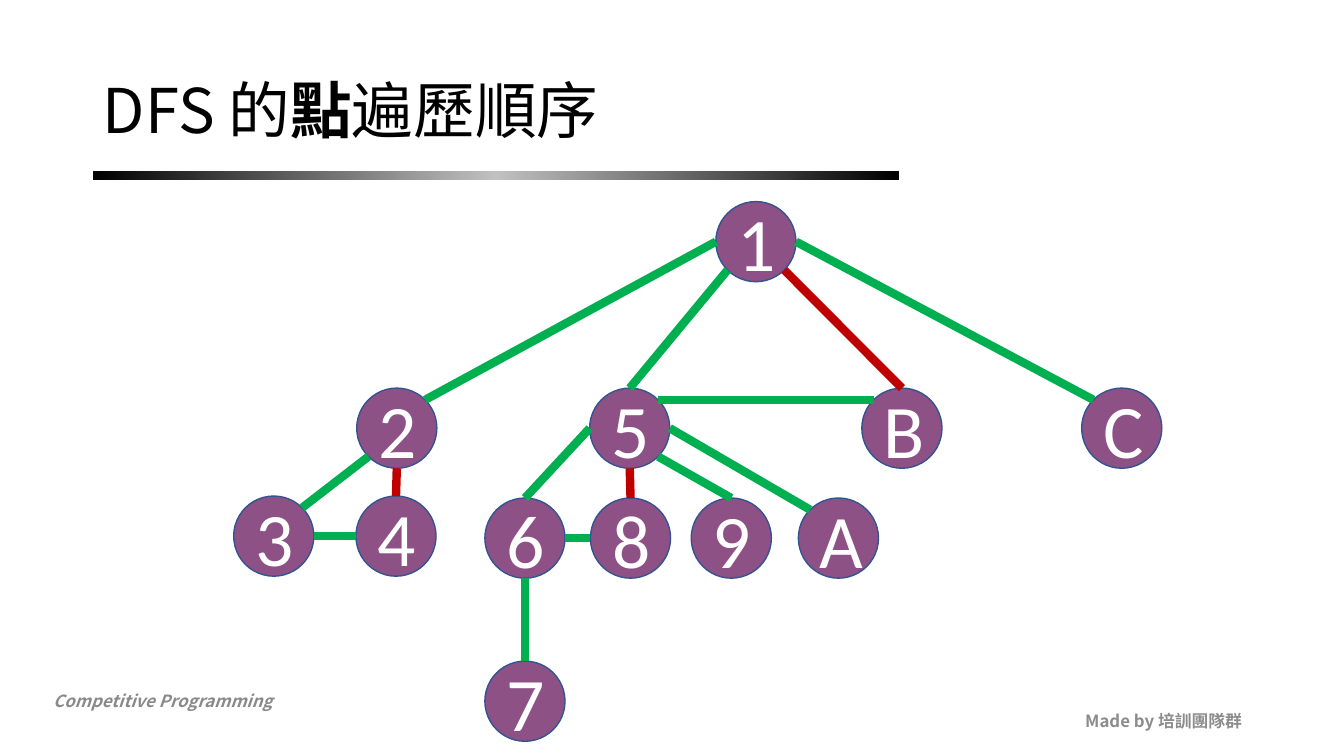
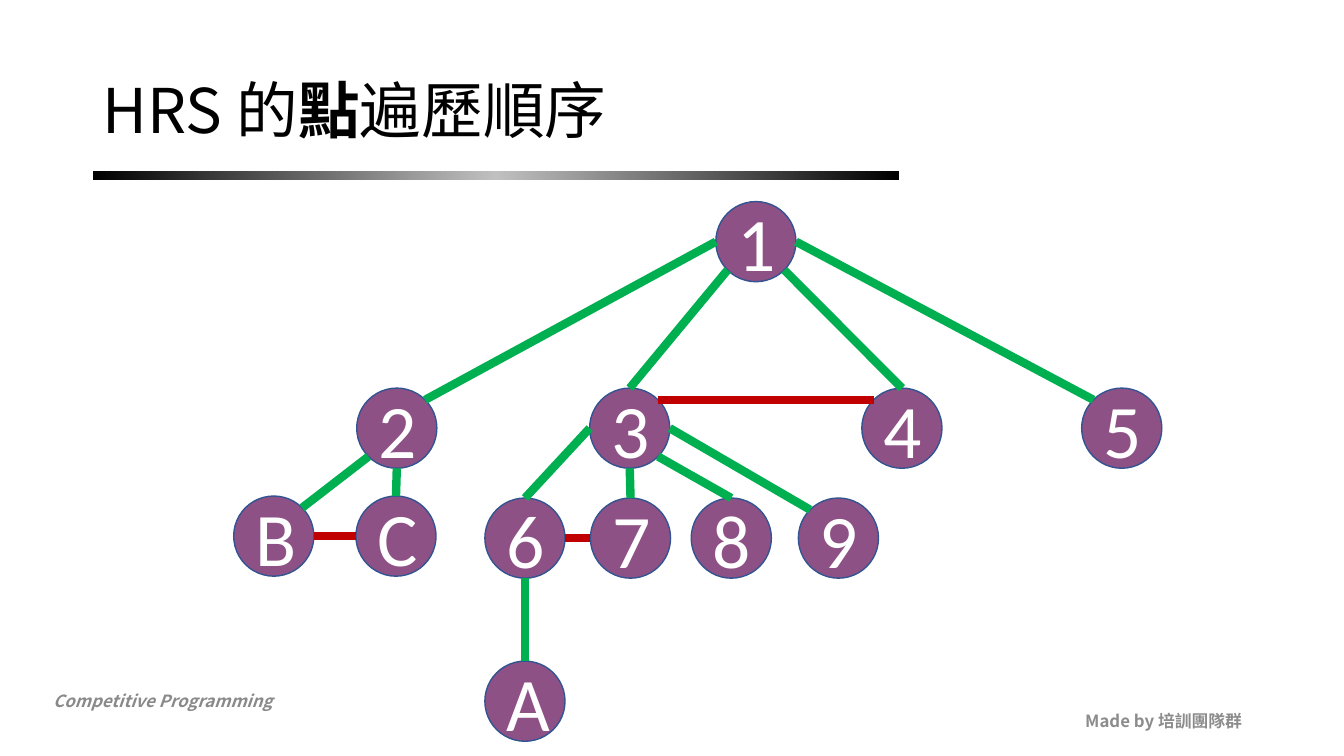
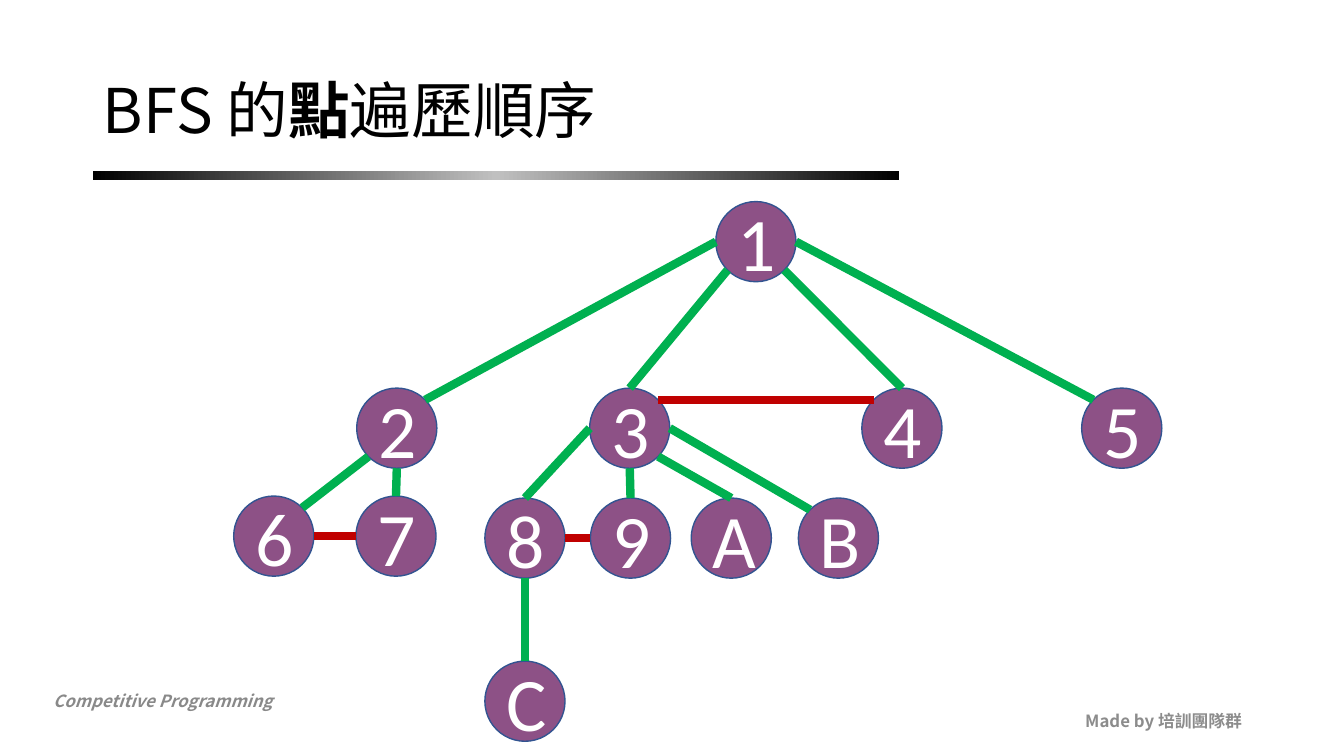
from collections import namedtuple
from math import cos, radians, sin

from lxml.etree import SubElement
from pptx import Presentation
from pptx.dml.color import RGBColor
from pptx.enum.shapes import MSO_CONNECTOR as Connector, MSO_SHAPE as Preset
from pptx.enum.text import MSO_ANCHOR as Anchor, MSO_AUTO_SIZE as AutoSize, PP_ALIGN as Align
from pptx.oxml.ns import qn
from pptx.util import Cm, Pt

BLACK = RGBColor(0x00, 0x00, 0x00)
SILVER = RGBColor(0xC0, 0xC0, 0xC0)
WHITE = RGBColor(0xFF, 0xFF, 0xFF)
COURSE_GREY = RGBColor(0x89, 0x89, 0x89)
CREDIT_GREY = RGBColor(0x8C, 0x8C, 0x8C)
PURPLE = RGBColor(0x8D, 0x51, 0x86)
OUTLINE_BLUE = RGBColor(0x32, 0x54, 0x91)
GREEN = RGBColor(0x00, 0xB0, 0x50)
RED = RGBColor(0xC0, 0x00, 0x00)

TEXT_FONT = "Noto Sans CJK SC"
NODE_FONT = "Calibri"

Box = namedtuple("Box", "left top width height")
TITLE_BOX = Box(2.34, 1.02, 29.21, 3.68)
RULE_BOX = Box(2.34, 4.32, 20.32, 0.23)
COURSE_BOX = Box(1.09, 17.27, 10.8, 0.76)
CREDIT_BOX = Box(23.93, 17.65, 7.62, 1.02)
TREE_BOX = Box(5.89, 5.08, 23.39, 13.6)

DIAMETER = 2.02
SITES = ["top", "top left", "left", "bottom left", "bottom", "bottom right", "right", "top right"]
NODES = {
    "root": (12.15, 0),
    "west": (3.1, 4.7), "middle": (8.97, 4.7), "east": (15.83, 4.7), "far east": (21.37, 4.7),
    "west 1": (0, 7.42), "west 2": (3.08, 7.42),
    "middle 1": (6.33, 7.47), "middle 2": (8.99, 7.47),
    "middle 3": (11.53, 7.47), "middle 4": (14.23, 7.47),
    "bottom": (6.33, 11.58),
}
EDGES = [
    ("root", "left", "west", "top right"),
    ("root", "bottom left", "middle", "top"),
    ("root", "bottom right", "east", "top"),
    ("root", "right", "far east", "top left"),
    ("west", "bottom left", "west 1", "top right"),
    ("west", "bottom", "west 2", "top"),
    ("middle", "left", "middle 1", "top"),
    ("middle", "bottom", "middle 2", "top"),
    ("middle", "bottom right", "middle 3", "top"),
    ("middle", "right", "middle 4", "top left"),
    ("middle 1", "bottom", "bottom", "top"),
    ("middle", "top right", "east", "top left"),
    ("west 1", "right", "west 2", "left"),
    ("middle 1", "right", "middle 2", "left"),
]
SIBLING_EDGES = {("middle", "east"), ("west 1", "west 2"), ("middle 1", "middle 2")}
BACK_EDGES = {("root", "east"), ("west", "west 2"), ("middle", "middle 2")}
TRAVERSALS = [
    ("DFS", "125BC34689A7", BACK_EDGES),
    ("HRS", "12345BC6789A", SIBLING_EDGES),
    ("BFS", "123456789ABC", SIBLING_EDGES),
]


def in_cm(box):
    """Return the box's four lengths as Cm values."""
    return [Cm(length) for length in box]


def add_span(para, text, size, color, font=TEXT_FONT, bold=False, italic=False):
    """Add one formatted run to a paragraph."""
    span = para.add_run()
    span.text = text
    span.font.name = font
    span.font.size = Pt(size)
    span.font.bold = bold
    span.font.italic = italic
    span.font.color.rgb = color
    SubElement(span.font._element, qn("a:ea"), typeface=font)


def add_rule(page, box):
    """Draw the gradient bar below the title."""
    rule = page.shapes.add_shape(Preset.RECTANGLE, *in_cm(box))
    rule.shadow.inherit = False
    rule.line.fill.background()
    rule.fill.gradient()
    rule.fill.gradient_angle = 0
    stops = rule.element.spPr.find(".//" + qn("a:gsLst"))
    stops.clear()
    for percent, color in ((0, BLACK), (50, SILVER), (100, BLACK)):
        stop = SubElement(stops, qn("a:gs"), pos=str(percent * 1000))
        SubElement(stop, qn("a:srgbClr"), val=str(color))
    return rule


def add_footer(page, box, text, color, align, anchor, italic=False):
    """Place one bold footer text."""
    footer = page.shapes.add_textbox(*in_cm(box))
    frame = footer.text_frame
    frame.word_wrap = True
    frame.vertical_anchor = anchor
    para = frame.paragraphs[0]
    para.alignment = align
    add_span(para, text, 12, color, bold=True, italic=italic)
    return footer


def furnish_layout(layout, page):
    """Give the layout its title box, rule and footers."""
    for holder in list(layout.placeholders):
        if holder.placeholder_format.idx == 0:
            holder.left, holder.top, holder.width, holder.height = in_cm(TITLE_BOX)
        else:
            holder.element.getparent().remove(holder.element)
    course = add_footer(page, COURSE_BOX, "Competitive Programming", COURSE_GREY,
                        Align.LEFT, Anchor.TOP, italic=True)
    course.text_frame.auto_size = AutoSize.SHAPE_TO_FIT_TEXT
    credit = add_footer(page, CREDIT_BOX, "Made by 培訓團隊群", CREDIT_GREY,
                        Align.RIGHT, Anchor.MIDDLE)
    for part in (course, credit, add_rule(page, RULE_BOX)):
        layout.element.cSld.spTree.append(part.element)


def write_title(page, method):
    """Fill the title placeholder."""
    frame = page.shapes.title.text_frame
    frame.word_wrap = True
    frame.auto_size = AutoSize.NONE
    frame.vertical_anchor = Anchor.MIDDLE
    para = frame.paragraphs[0]
    para.alignment = Align.LEFT
    para.line_spacing = 0.9
    for text, bold in ((f"{method} 的", False), ("點", True), ("遍歷順序", False)):
        add_span(para, text, 44, BLACK, bold=bold)


def add_node(page, box, label):
    """Draw one labelled circle."""
    node = page.shapes.add_shape(Preset.OVAL, *in_cm(box))
    node.shadow.inherit = False
    node.fill.solid()
    node.fill.fore_color.rgb = PURPLE
    node.line.color.rgb = OUTLINE_BLUE
    node.line.width = Pt(1)
    node.text_frame.vertical_anchor = Anchor.MIDDLE
    para = node.text_frame.paragraphs[0]
    para.alignment = Align.CENTER
    add_span(para, label, 54, WHITE, font=NODE_FONT)
    return node


def site_point(node, site):
    """Return the point of a named site on a circle's rim."""
    angle = radians(90 + 45 * SITES.index(site))
    radius = node.width / 2
    return (round(node.left + radius * (1 + cos(angle))),
            round(node.top + radius * (1 - sin(angle))))


def add_edge(page, start, start_site, end, end_site, color):
    """Join two circles with a line glued to their sites."""
    edge = page.shapes.add_connector(Connector.STRAIGHT, *site_point(start, start_site),
                                     *site_point(end, end_site))
    edge.line.color.rgb = color
    edge.line.width = Pt(6)
    SubElement(edge.element.spPr, qn("a:effectLst"))
    glue = edge.element.nvCxnSpPr.cNvCxnSpPr
    for tag, node, site in (("a:stCxn", start, start_site), ("a:endCxn", end, end_site)):
        SubElement(glue, qn(tag), id=str(node.shape_id), idx=str(SITES.index(site)))


def draw_tree(page, box, labels, red_edges):
    """Draw the search tree inside the box."""
    nodes = {}
    for (name, (left, top)), label in zip(NODES.items(), labels):
        place = Box(box.left + left, box.top + top, DIAMETER, DIAMETER)
        nodes[name] = add_node(page, place, label)
    for start, start_site, end, end_site in EDGES:
        color = RED if (start, end) in red_edges else GREEN
        add_edge(page, nodes[start], start_site, nodes[end], end_site, color)


def main():
    """Build and save the deck."""
    deck = Presentation()
    deck.slide_width, deck.slide_height = Cm(33.87), Cm(19.05)
    layout = deck.slide_layouts[5]
    pages = [deck.slides.add_slide(layout) for _ in TRAVERSALS]
    furnish_layout(layout, pages[0])
    for page, (method, labels, red_edges) in zip(pages, TRAVERSALS):
        write_title(page, method)
        draw_tree(page, TREE_BOX, labels, red_edges)
    deck.save("out.pptx")


if __name__ == "__main__":
    main()
